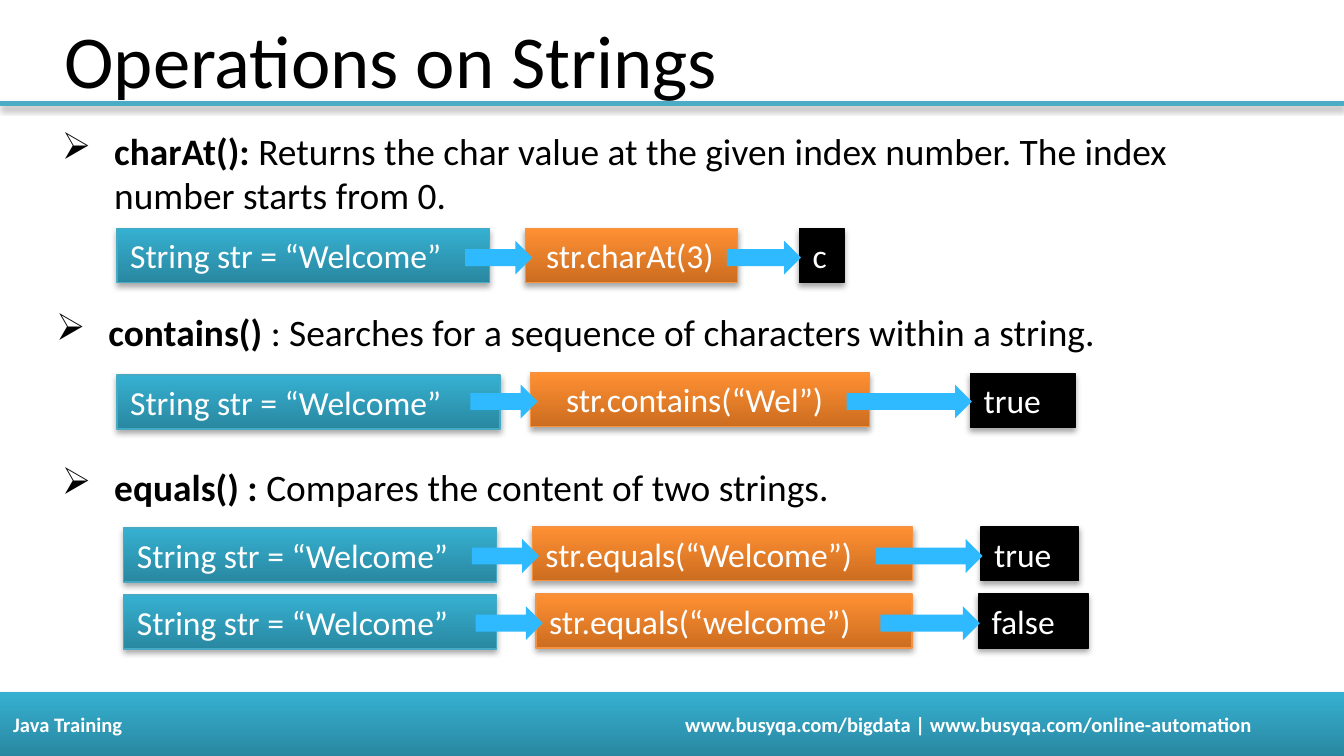
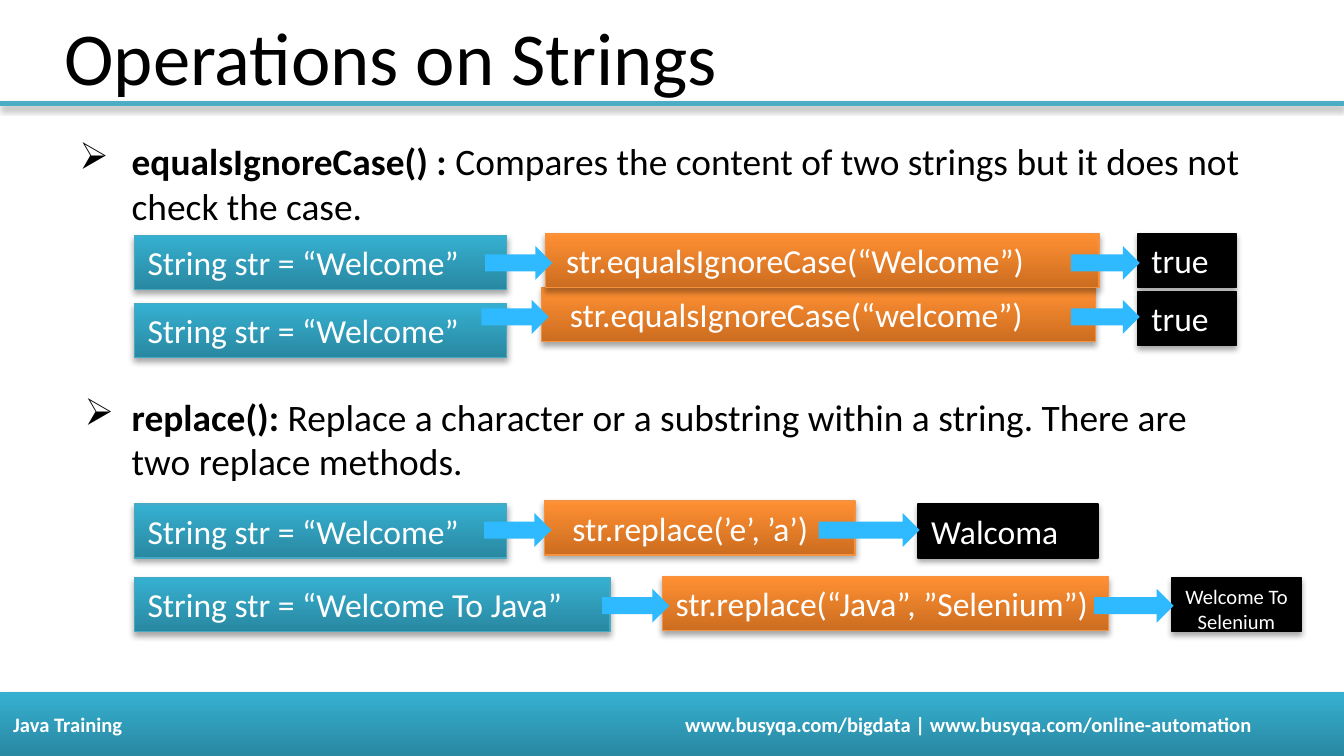
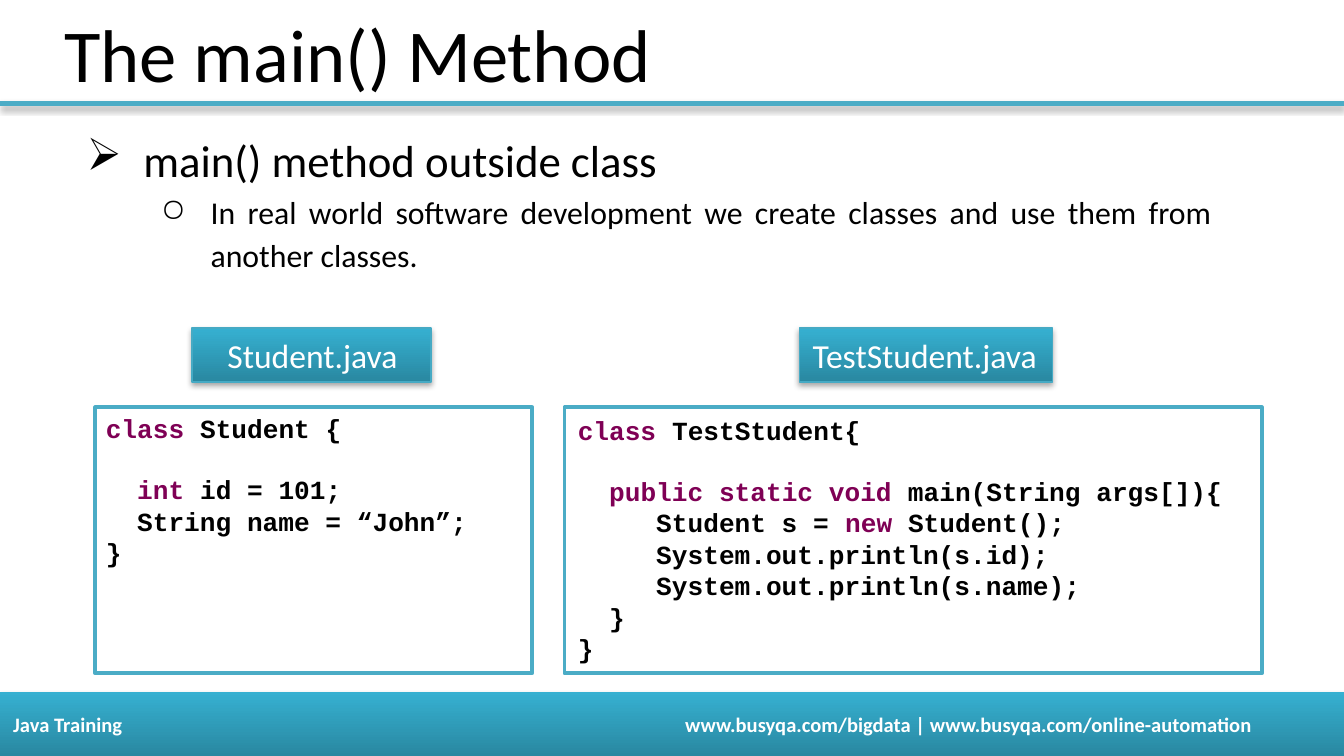
"""Build three slides on Java strings and the main method."""
import pptx
import pptx.util
import pptx.dml.color
import pptx.enum.shapes
import pptx.enum.text
import pptx.oxml.ns
from lxml import etree

Cm = pptx.util.Cm
Pt = pptx.util.Pt
KIND = pptx.enum.shapes.MSO_SHAPE
ALIGN = pptx.enum.text.PP_ALIGN
ANCHOR = pptx.enum.text.MSO_ANCHOR
qn = pptx.oxml.ns.qn

INK = {
    "black": "000000", "white": "FFFFFF", "rule": "4BACC6", "arrow": "2FBAFF",
    "key": "7F0055", "teal": "46AAC4", "teal lo": "2988A1", "teal hi": "36B0D1",
    "gold": "F59240", "gold lo": "CC6D20", "gold hi": "FF9033",
}
HIGH = 1.02
HELLO = "String str = “Welcome”"


def rgb(name):
    return pptx.dml.color.RGBColor.from_string(INK[name])


def node(host, tag, **attrs):
    return etree.SubElement(host, qn(tag), attrs)


def text(para, words, size=18, color="black", bold=False, font="Calibri", align=None,
         key=None, mark=None, left=0, hang=0, level=0, space=None, before=None, tab=None):
    props = para._p.get_or_add_pPr()
    if mark:
        props.set("marL", str(Cm(left)))
        props.set("indent", str(-Cm(hang)))
        node(node(props, "a:buClr"), "a:srgbClr", val=INK["black"])
        node(props, "a:buChar", char=mark)
    if tab:
        node(node(props, "a:tabLst"), "a:tab", pos=str(Cm(tab)), algn="l")
    para.level = level
    para.alignment = align
    if space:
        para.line_spacing = space
    if before:
        para.space_before = Pt(before)
    for i, part in enumerate(words.split("~")):
        if not part:
            continue
        style = {"color": color, "bold": bold, **(key if i % 2 else {})}
        run = para.add_run()
        run.text = part
        run.font.size = Pt(size)
        run.font.name = font
        run.font.bold = style["bold"]
        run.font.color.rgb = rgb(style["color"])


class Deck:
    def __init__(self):
        self.file = pptx.Presentation()
        self.file.slide_width = Cm(25.4)
        self.file.slide_height = Cm(14.29)
        self.page = None

    def slide(self, title, top):
        self.page = self.file.slides.add_slide(self.file.slide_layouts[6]).shapes
        rule = self.page.add_connector(pptx.enum.shapes.MSO_CONNECTOR.STRAIGHT,
                                       Cm(0), Cm(1.96), Cm(25.4), Cm(1.96))
        rule.line.color.rgb = rgb("rule")
        rule.line.width = Pt(3)
        self.shade(rule)
        foot = self.box(0, 13.08, 25.4, 1.21, fill="teal", line=None)
        foot.vertical_anchor = ANCHOR.MIDDLE
        text(foot.paragraphs[0],
             "Java Training\twww.busyqa.com/bigdata | www.busyqa.com/online-automation",
             size=11, color="white", bold=True, tab=12.7)
        text(self.area(0.97, top, 13.6, 1.78).paragraphs[0], title, size=40)

    def shade(self, shape, on=True):
        effect = node(shape._element.spPr, "a:effectLst")
        if on:
            cast = node(effect, "a:outerShdw", blurRad="40000", dist="23000",
                        dir="5400000", rotWithShape="0")
            node(node(cast, "a:srgbClr", val=INK["black"]), "a:alpha", val="35000")

    def area(self, x, y, w, h):
        frame = self.page.add_textbox(Cm(x), Cm(y), Cm(w), Cm(h)).text_frame
        frame.word_wrap = True
        return frame

    def box(self, x, y, w, h, fill, line, kind=KIND.RECTANGLE, wide=0.75, shade=True):
        shape = self.page.add_shape(kind, Cm(x), Cm(y), Cm(w), Cm(h))
        if fill + " lo" in INK:
            shape.fill.gradient()
            shape.fill.gradient_angle = 90
            for stop, end in zip(shape.fill.gradient_stops, (" lo", " hi")):
                stop.color.rgb = rgb(fill + end)
        else:
            shape.fill.solid()
            shape.fill.fore_color.rgb = rgb(fill)
        if line:
            shape.line.color.rgb = rgb(line)
            shape.line.width = Pt(wide)
        else:
            shape.line.fill.background()
        self.shade(shape, shade)
        frame = shape.text_frame
        frame.word_wrap = True
        frame.vertical_anchor = ANCHOR.TOP
        return frame

    def label(self, x, y, w, words, fill, pad=0, size=18, align=ALIGN.LEFT):
        frame = self.box(x, y, w, HIGH, fill, fill)
        frame.margin_left = Cm(0.25 + pad)
        text(frame.paragraphs[0], words, size=size, color="white", align=align)

    def arrow(self, x, y, end):
        self.box(x, y, end - x, 0.64, "arrow", None, KIND.RIGHT_ARROW, shade=False)

    def point(self, x, y, w, words, hang=0.99):
        text(self.area(x, y, w, 1.42).paragraphs[0], words, size=20,
             key={"bold": True}, mark="➢", left=1.27, hang=hang)

    def row(self, tops, first, call, out, start, **style):
        self.label(first[0], tops[0], *first[1:], "teal")
        self.label(call[0], tops[1], *call[1:3], "gold", *call[3:])
        self.label(out[0], tops[2], *out[1:], "black", **style)
        mid = tops[1] + 0.23
        self.arrow(call[0] - 1.14, mid, call[0] + 0.13)
        self.arrow(start, mid, out[0] + 0.03)

    def code(self, x, w, lines, side, top):
        frame = self.box(x, 7.7, w, 5.03, "white", "rule", wide=2, shade=False)
        frame.margin_left = frame.margin_right = Cm(side)
        frame.margin_top = frame.margin_bottom = Cm(top)
        for i, words in enumerate(lines):
            para = frame.add_paragraph() if i else frame.paragraphs[0]
            text(para, words, size=14, bold=True, font="Courier New", align=ALIGN.LEFT,
                 key={"color": "key"}, before=16 if i == 1 else None)


def main():
    deck = Deck()

    deck.slide("Operations on Strings", 0.13)
    deck.point(0.64, 2.29, 23.72, "~charAt(): ~Returns the char value at the given index "
               "number. The index number starts from 0.")
    deck.row((4.32, 4.32, 4.32), (2.21, 7.04, HELLO),
             (9.93, 4.01, "str.charAt(3)", 0.14), (15.11, 0.84, "c"), 13.74)
    deck.point(0.53, 5.72, 21.44,
               "~contains() ~: Searches for a sequence of characters within a string.")
    deck.row((7.09, 7.04, 7.06), (2.21, 7.24, HELLO),
             (10.03, 6.4, "str.contains(“Wel”)", 0.42), (18.34, 1.98, "true"), 16)
    deck.point(0.64, 8.64, 22.02, "~equals() : ~Compares the content of two strings.")
    deck.row((9.98, 9.96, 9.96), (2.34, 7.04, HELLO),
             (10.06, 7.19, "str.equals(“Welcome”)"), (18.54, 1.85, "true"), 16.56)
    deck.row((11.25, 11.23, 11.23), (2.34, 7.04, HELLO),
             (10.13, 7.11, "str.equals(“welcome”)"), (18.49, 2.08, "false"), 16.64)

    deck.slide("Operations on Strings", 0.08)
    deck.point(0.97, 2.49, 22.81, "~equalsIgnoreCase() : ~Compares the content of two "
               "strings but it does not check the case.")
    deck.row((5.74, 5.44, 5.51), (2.54, 7.04, HELLO),
             (10.24, 10.46, "str.equalsIgnoreCase(“welcome”)", 0.28),
             (21.51, 1.85, "true"), 20.24)
    deck.row((4.45, 4.42, 4.42), (2.54, 7.04, HELLO),
             (10.31, 10.46, "str.equalsIgnoreCase(“Welcome”)", 0.14),
             (21.51, 1.85, "true"), 20.24)
    deck.point(0.97, 7.32, 22.5, "~replace(): ~Replace a character or a substring within "
               "a string. There are two replace methods.", hang=0.89)
    deck.row((9.53, 9.47, 9.53), (2.54, 7.04, HELLO),
             (10.29, 5.87, "str.replace(’e’, ’a’)", 0.28), (17.35, 3.4, "Walcoma"), 15.47)
    deck.row((10.92, 10.9, 10.92), (2.54, 8.99, "String str = “Welcome To Java”"),
             (12.52, 8.43, "str.replace(“Java”, ”Selenium”)"),
             (22.15, 2.44, "Welcome To Selenium"), 20.68, size=11, align=ALIGN.CENTER)

    deck.slide("The main() Method", 0.02)
    frame = deck.area(1.19, 2.39, 21.97, 2.97)
    text(frame.paragraphs[0], "main() method outside class", size=24,
         mark="➢", left=1.27, hang=1.07)
    text(frame.add_paragraph(), "In real world software development we create classes and "
         "use them from another classes.", size=17, mark="○", left=2.54, hang=0.94,
         level=1, space=1.15, align=ALIGN.JUSTIFY)
    deck.code(1.8, 8.26, (
        "~class~ Student {",
        "  ~int~ id = 101;",
        "  String name = “John”;",
        "}"), 0.2, 0.1)
    deck.code(10.67, 13.18, (
        "~class~ TestStudent{",
        "  ~public static void~ main(String args[]){",
        "     Student s = ~new~ Student();",
        "     System.out.println(s.id);",
        "     System.out.println(s.name);",
        "  }",
        "}"), 0.25, 0.13)
    deck.label(3.63, 6.2, 4.52, "Student.java", "teal", 0.42)
    deck.label(15.11, 6.2, 4.78, "TestStudent.java", "teal")

    deck.file.save("out.pptx")


if __name__ == "__main__":
    main()
